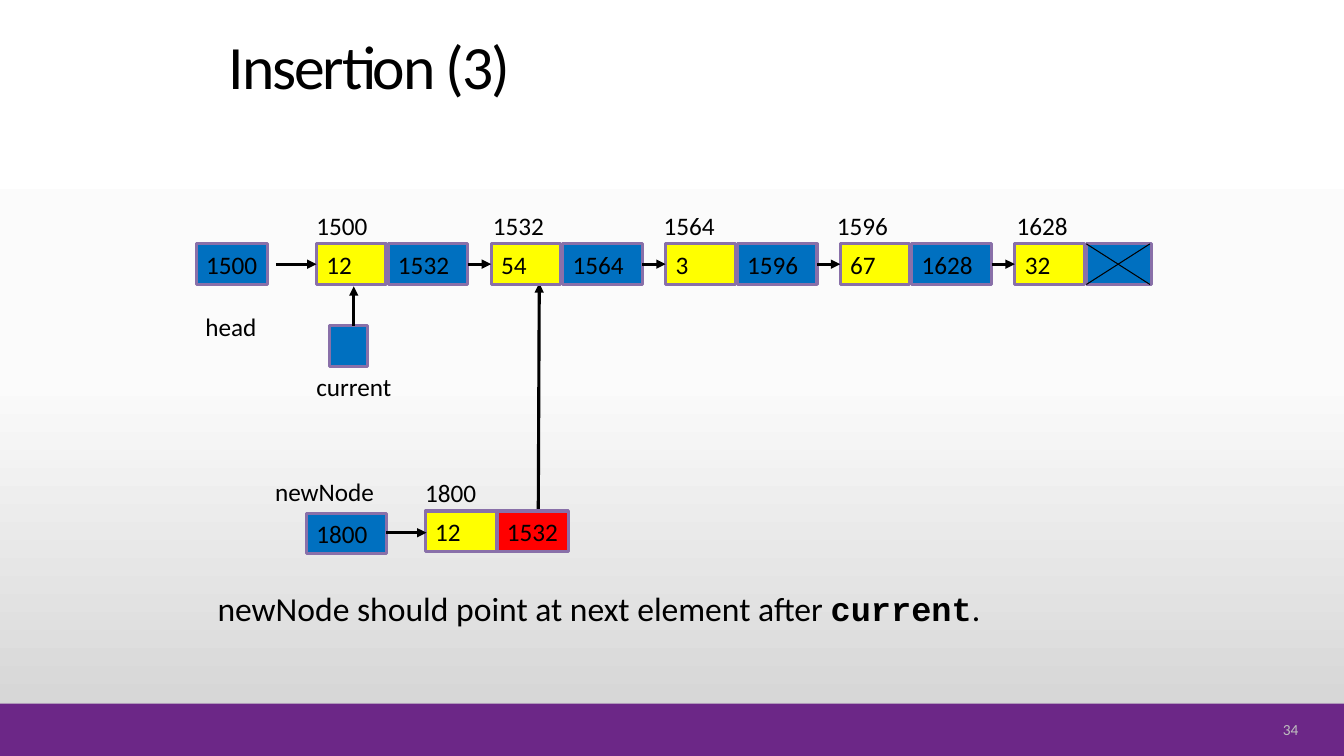
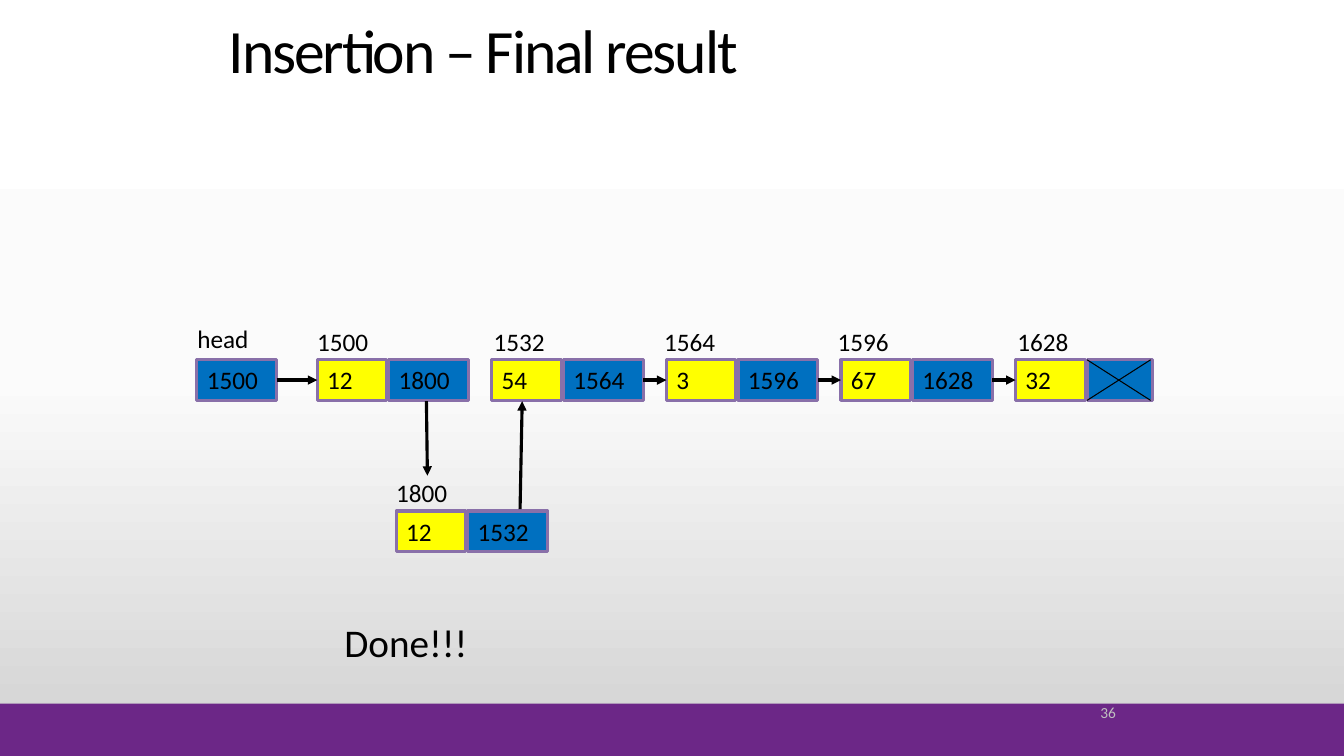
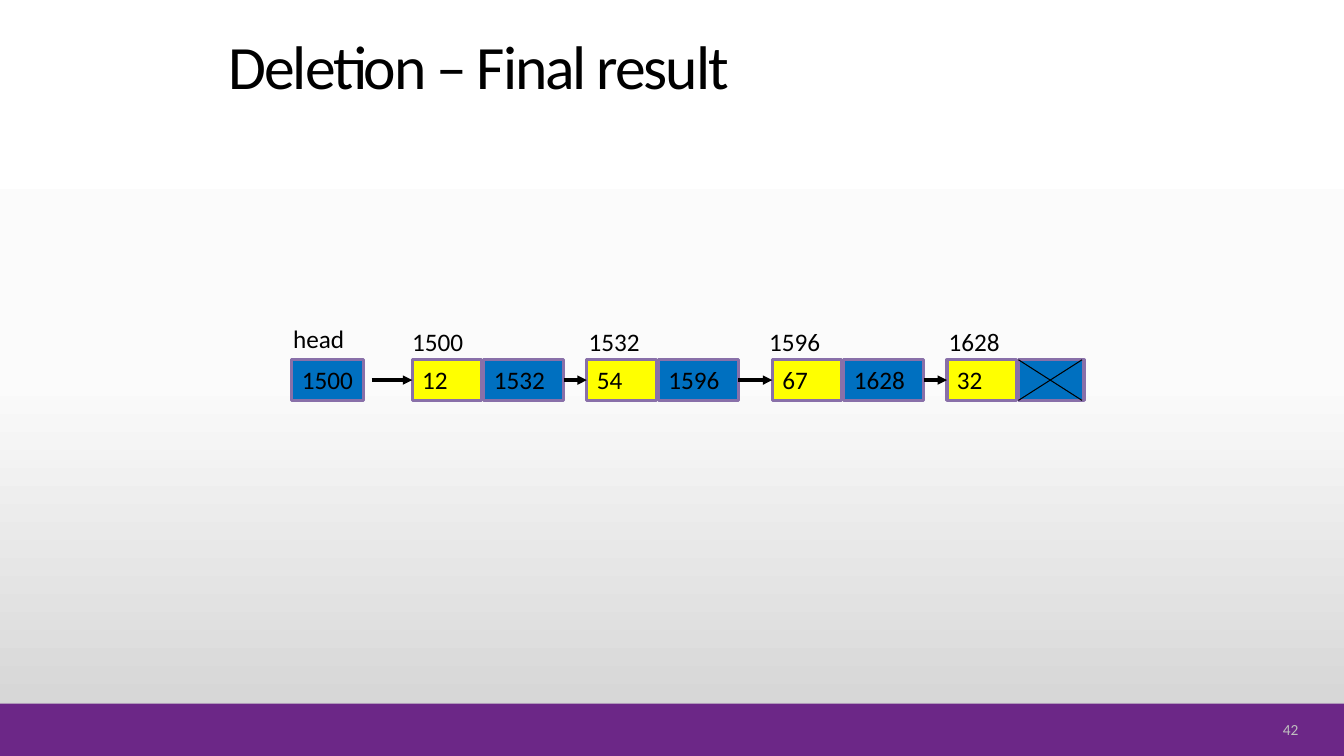
from copy import deepcopy
from dataclasses import dataclass
from typing import NamedTuple

from pptx import Presentation
from pptx.dml.color import RGBColor
from pptx.enum.shapes import MSO_CONNECTOR as Connector, MSO_SHAPE as Preset
from pptx.enum.text import MSO_ANCHOR as Anchor, PP_ALIGN as Align
from pptx.oxml.ns import qn
from pptx.oxml.xmlchemy import OxmlElement
from pptx.presentation import Presentation as Deck
from pptx.shapes.autoshape import Shape
from pptx.slide import Slide
from pptx.util import Pt


@dataclass(frozen=True)
class Theme:
    font: str = "Calibri"
    code_font: str = "Courier New"
    black: str = "000000"
    purple: str = "6C2787"
    border: str = "8970A9"
    yellow: str = "FFFF00"
    blue: str = "0070C0"
    red: str = "FF0000"
    gray: str = "BFBFBF"
    background: tuple[str, ...] = ("FFFFFF", "FBFBFB", "D1D1D1")
    title_size: float = 44
    done_size: float = 28
    note_size: float = 24
    label_size: float = 18
    number_size: float = 11
    thick: float = 2.25
    thin: float = 0.75


class Box(NamedTuple):
    left: float
    top: float
    width: float
    height: float


class Point(NamedTuple):
    x: float
    y: float


@dataclass(frozen=True)
class Run:
    text: str
    size: float
    color: str
    font: str
    bold: bool = False


@dataclass(frozen=True)
class Node:
    address: str
    value: str
    link: str = ""
    address_shift: float = 7.2
    gap_before: float = 0
    arrow: bool = True


THEME = Theme()
SLIDE_WIDTH, SLIDE_HEIGHT = 960, 540
CELL_HEIGHT = 29
VALUE_WIDTH = 49.7
LINK_OFFSET = 51.1
LINK_WIDTH = 57
LAST_LINK_WIDTH = 46.8
CROSS_WIDTH = 45.4
NODE_PITCH = 124.7
ADDRESS_RISE = 27.4
HEAD_OFFSET = 86
HEAD_ARROW = 29
HEAD_WIDTH = 51
TITLE_BOX = Box(156.2, 9.4, 594, 67.7)
NUMBER_BOX = Box(880.6, 512.6, 54, 16.6)


def label_run(text: str, size: float = THEME.label_size) -> Run:
    return Run(text, size, THEME.black, THEME.font)


def write(shape: Shape, runs: list[Run], align: Align = Align.LEFT, anchor: Anchor = Anchor.TOP) -> None:
    frame = shape.text_frame
    frame.word_wrap = True
    frame.vertical_anchor = anchor
    paragraph = frame.paragraphs[0]
    paragraph.alignment = align
    for item in runs:
        run = paragraph.add_run()
        run.text = item.text
        run.font.name = item.font
        run.font.size = Pt(item.size)
        run.font.bold = item.bold
        run.font.color.rgb = RGBColor.from_string(item.color)


def draw_text(slide: Slide, box: Box, runs: list[Run],
              align: Align = Align.LEFT, anchor: Anchor = Anchor.TOP) -> Shape:
    shape = slide.shapes.add_textbox(*map(Pt, box))
    write(shape, runs, align, anchor)
    return shape


def draw_label(slide: Slide, left: float, top: float, text: str) -> None:
    draw_text(slide, Box(left, top, 88, CELL_HEIGHT), [label_run(text)])


def draw_rectangle(slide: Slide, box: Box, fill: str) -> Shape:
    shape = slide.shapes.add_shape(Preset.RECTANGLE, *map(Pt, box))
    shape.shadow.inherit = False
    shape.fill.solid()
    shape.fill.fore_color.rgb = RGBColor.from_string(fill)
    shape.line.fill.background()
    return shape


def draw_cell(slide: Slide, left: float, top: float, width: float, fill: str, text: str = "") -> None:
    shape = draw_rectangle(slide, Box(left, top, width, CELL_HEIGHT), fill)
    shape.line.color.rgb = RGBColor.from_string(THEME.border)
    shape.line.width = Pt(THEME.thick)
    if text:
        write(shape, [label_run(text)])
        shape.text_frame.margin_right = 0


def draw_line(slide: Slide, start: Point, end: Point, width: float = THEME.thick, arrow: bool = True) -> None:
    line = slide.shapes.add_connector(Connector.STRAIGHT, *map(Pt, (*start, *end)))
    line.line.color.rgb = RGBColor.from_string(THEME.black)
    line.line.width = Pt(width)
    properties = line.element.spPr
    properties.append(OxmlElement("a:effectLst"))
    if arrow:
        tail = OxmlElement("a:tailEnd")
        tail.set("type", "triangle")
        properties.find(qn("a:ln")).append(tail)


def draw_node(slide: Slide, left: float, top: float, node: Node) -> None:
    draw_cell(slide, left, top, VALUE_WIDTH, THEME.yellow, node.value)
    link_left = left + LINK_OFFSET
    draw_cell(slide, link_left, top, LINK_WIDTH if node.link else LAST_LINK_WIDTH, THEME.blue, node.link)
    if not node.link:
        right, bottom = link_left + CROSS_WIDTH, top + CELL_HEIGHT
        draw_line(slide, Point(link_left, top), Point(right, bottom), THEME.thin, False)
        draw_line(slide, Point(right, top), Point(link_left, bottom), THEME.thin, False)
    draw_label(slide, left - node.address_shift, top - ADDRESS_RISE, node.address)


def draw_list(slide: Slide, start: float, top: float, nodes: list[Node],
              head_label: Point, head_width: float = HEAD_WIDTH) -> None:
    middle = top + CELL_HEIGHT / 2
    draw_cell(slide, start - HEAD_OFFSET, top, head_width, THEME.blue, nodes[0].address)
    draw_label(slide, *head_label, "head")
    arrow_start, left = start - HEAD_ARROW, start
    for node in nodes:
        left += node.gap_before
        draw_node(slide, left, top, node)
        if node.arrow:
            draw_line(slide, Point(arrow_start, middle), Point(left, middle))
        arrow_start = left + LINK_OFFSET + LINK_WIDTH
        left += NODE_PITCH


def set_background(presentation: Deck) -> None:
    master = presentation.slide_master
    fill = master.background.fill
    fill.gradient()
    fill.gradient_angle = 270
    stop_list = master.element.find(".//" + qn("a:gsLst"))
    stop_list.append(deepcopy(stop_list[0]))
    for index, (stop, color) in enumerate(zip(fill.gradient_stops, THEME.background)):
        stop.position = index / 2
        stop.color.rgb = RGBColor.from_string(color)


def add_slide(presentation: Deck, title: str, number: str,
              title_box: Box = TITLE_BOX, number_box: Box = NUMBER_BOX) -> Slide:
    slide = presentation.slides.add_slide(presentation.slide_layouts[6])
    draw_rectangle(slide, Box(0, 502.6, SLIDE_WIDTH, 37.4), THEME.purple)
    heading = draw_text(slide, title_box, [label_run(title, THEME.title_size)], anchor=Anchor.BOTTOM)
    paragraph = heading.text_frame.paragraphs[0]
    paragraph.line_spacing = 0.9
    paragraph.runs[0].font._element.set("spc", "-150")
    draw_text(slide, number_box, [Run(number, THEME.number_size, THEME.gray, THEME.font)],
              Align.RIGHT, Anchor.MIDDLE)
    return slide


def build_insertion_step(presentation: Deck) -> None:
    slide = add_slide(presentation, "Insertion (3)", "34")
    draw_line(slide, Point(384.5, 363.6), Point(385.2, 202.3))
    draw_cell(slide, 303.8, 365, 54.7, THEME.yellow, "12")
    draw_cell(slide, 355, 365, HEAD_WIDTH, THEME.red, "1532")
    draw_label(slide, 296.6, 337.7, "1800")
    draw_cell(slide, 218.9, 366.5, LINK_WIDTH, THEME.blue, "1800")
    draw_line(slide, Point(275.8, 380.5), Point(304.6, 380.5))
    draw_label(slide, 189.4, 337, "newNode")
    nodes = [
        Node("1500", "12", "1532"),
        Node("1532", "54", "1564", 5.8),
        Node("1564", "3", "1596", 8.6),
        Node("1596", "67", "1628", 9.4),
        Node("1628", "32", address_shift=5.8),
    ]
    draw_list(slide, 226.1, 174.2, nodes, Point(139.7, 218.9))
    draw_cell(slide, 235.4, 232.6, 27.4, THEME.blue)
    draw_line(slide, Point(252.7, 232.6), Point(252.7, 204.5))
    draw_label(slide, 218.9, 261.4, "current")
    draw_text(slide, Box(148.3, 416.2, 592.6, 36), [
        label_run("newNode should point at next element after ", THEME.note_size),
        Run("current", THEME.note_size, THEME.black, THEME.code_font, True),
        label_run(".", THEME.note_size),
    ])


def build_insertion_result(presentation: Deck) -> None:
    slide = add_slide(presentation, "Insertion – Final result", "36",
                      TITLE_BOX._replace(height=56.2), Box(636.5, 491, 167.8, 36))
    nodes = [
        Node("1500", "12", "1800"),
        Node("1532", "54", "1564", 5.8, arrow=False),
        Node("1564", "3", "1596", 8.6),
        Node("1596", "67", "1628", 9.4),
        Node("1628", "32", address_shift=5.8),
    ]
    draw_list(slide, 226.6, 257, nodes, Point(133.9, 227.5), LINK_WIDTH)
    draw_node(slide, 283, 365, Node("1800", "12", "1532"))
    draw_line(slide, Point(371.5, 363.6), Point(373, 286.6))
    draw_line(slide, Point(304.6, 286.6), Point(305.3, 339.8))
    draw_text(slide, Box(239, 437.8, 146.2, 41), [label_run("Done!!!", THEME.done_size)])


def build_deletion_result(presentation: Deck) -> None:
    slide = add_slide(presentation, "Deletion – Final result", "42")
    nodes = [
        Node("1500", "12", "1532"),
        Node("1532", "54", "1596", 5.8),
        Node("1596", "67", "1628", 9.4, gap_before=7.8),
        Node("1628", "32", address_shift=5.8),
    ]
    draw_list(slide, 294.5, 257, nodes, Point(202.3, 227.5))


def main() -> None:
    presentation = Presentation()
    presentation.slide_width = Pt(SLIDE_WIDTH)
    presentation.slide_height = Pt(SLIDE_HEIGHT)
    set_background(presentation)
    build_insertion_step(presentation)
    build_insertion_result(presentation)
    build_deletion_result(presentation)
    presentation.save("out.pptx")


if __name__ == "__main__":
    main()
